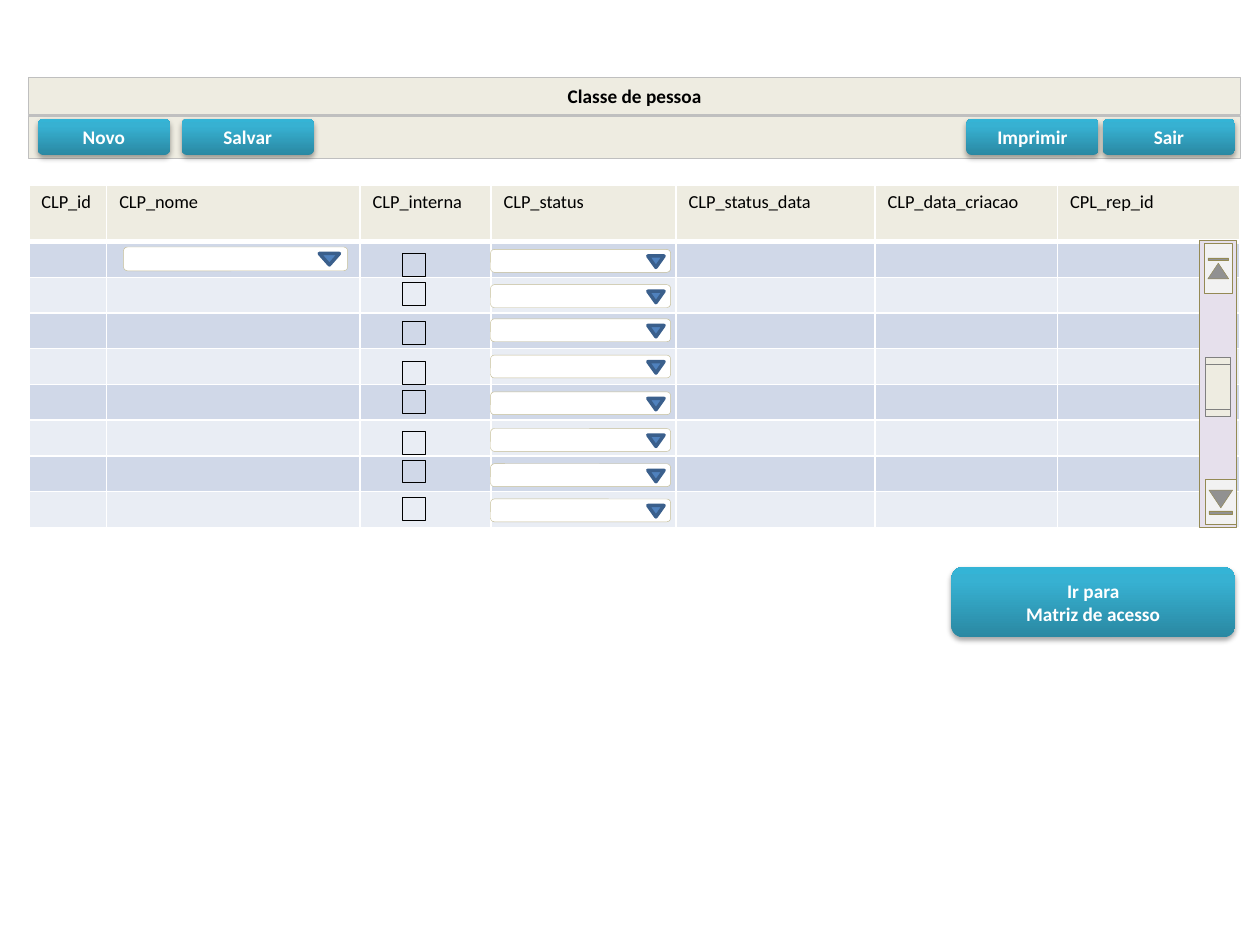
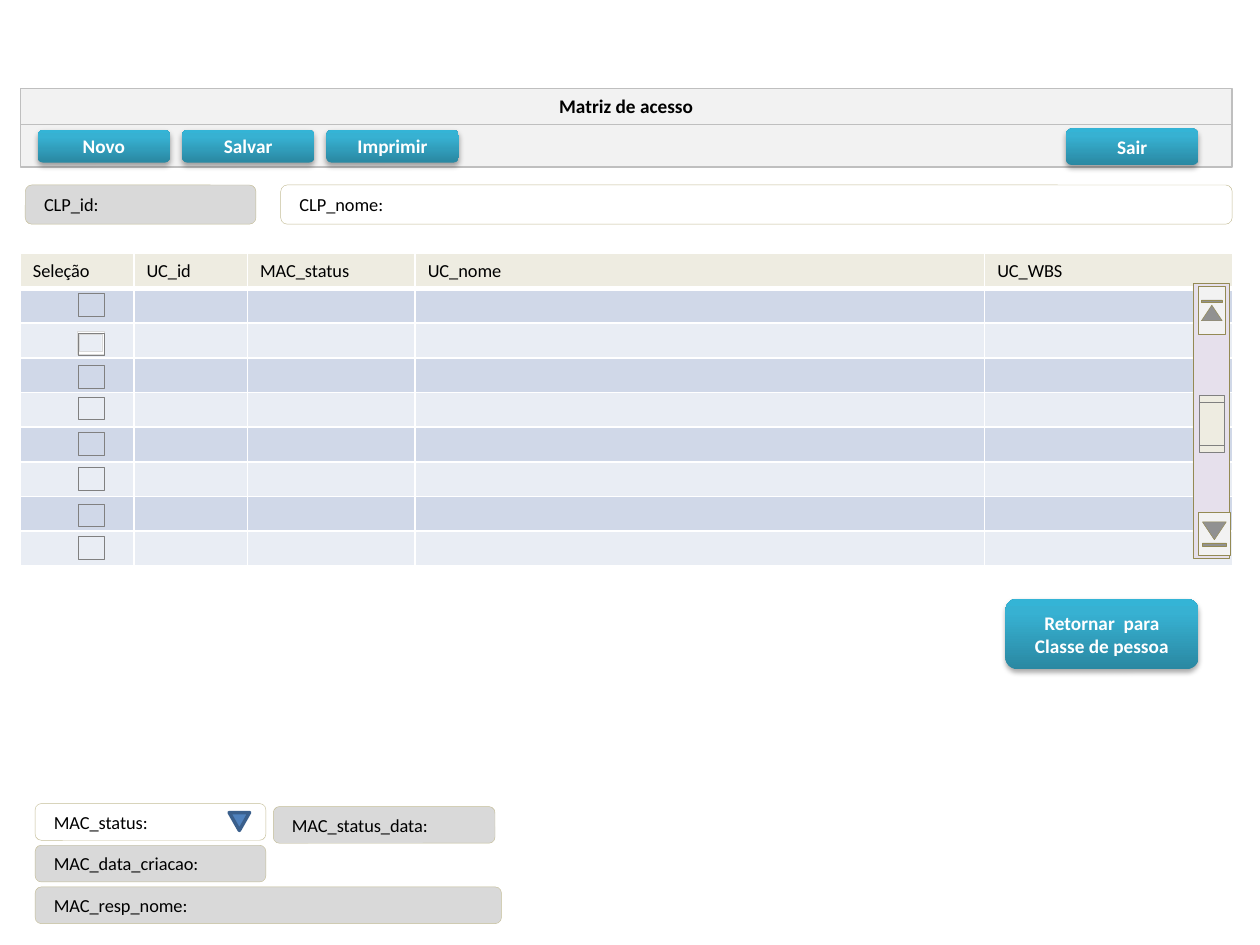
from copy import deepcopy

from pptx import Presentation
from pptx.dml.color import RGBColor
from pptx.enum.shapes import MSO_SHAPE as Preset
from pptx.enum.text import MSO_ANCHOR as Anchor, PP_ALIGN as Align
from pptx.oxml.ns import qn
from pptx.util import Cm, Pt
from lxml.etree import SubElement

FONT = "Calibri"
BLACK, WHITE = "000000", "FFFFFF"
CREAM, LIGHT, SILVER = "EEECE1", "F2F2F2", "D9D9D9"
SAND, OLIVE, GRAY, BAND_EDGE = "C4BD97", "948A54", "808080", "BFBFBF"
ROW_FILLS = ("D0D8E8", "E9EDF4")
ARROW_FILL, ARROW_EDGE, TRACK = "4F81BD", "3A5F8C", "E6E0EC"
BUTTON_STOPS = ((0, "2A88A2"), (0.8, "37B1D2"), (1, "34B4D6"))
TRACK_HEIGHT = 5.79
SCROLL_PARTS = (
    (Preset.ACTION_BUTTON_END, 270, 0.38, 0.56, 1.02, 0.56, LIGHT, OLIVE),
    (Preset.ACTION_BUTTON_END, 90, 0.43, 5.27, 0.91, 0.64, LIGHT, OLIVE),
    (Preset.FLOWCHART_PREDEFINED_PROCESS, 90, 0.37, 2.95, 1.19, 0.51, CREAM, GRAY),
)

PERSON_CLASS = {
    "title": "Classe de pessoa",
    "band": (0.58, CREAM, (1.57, 2.34)),
    "buttons": (
        ("Novo", 0.76, 2.39, 2.67, 0.74),
        ("Salvar", 3.66, 2.39, 2.67, 0.74),
        ("Imprimir", 19.48, 2.39, 2.67, 0.74),
        ("Sair", 22.23, 2.39, 2.67, 0.74),
        ("Ir para\nMatriz de acesso", 19.18, 11.43, 5.72, 1.42),
    ),
    "table": (0.58, 3.73, 1.14, 0.72),
    "columns": (
        ("CLP_id", 1.57), ("CLP_nome", 5.11), ("CLP_interna", 2.64),
        ("CLP_status", 3.73), ("CLP_status_data", 4.01),
        ("CLP_data_criacao", 3.68), ("CPL_rep_id", 3.68),
    ),
    "checks": (8.1, 0.48, BLACK, (5.11, 5.69, 6.48, 7.29, 7.87, 8.69, 9.27, 10.03)),
    "scroll": (24.18, 4.85, 5.79),
}
NAME_CHOICE = (2.49, 4.98, 4.52, 0.48)
STATUS_TOPS = (5.03, 5.74, 6.43, 7.16, 7.9, 8.64, 9.35, 10.06)

ACCESS_MATRIX = {
    "title": "Matriz de acesso",
    "band": (0.41, LIGHT, (1.78, 2.51)),
    "buttons": (
        ("Novo", 0.76, 2.62, 2.67, 0.66),
        ("Salvar", 3.67, 2.62, 2.67, 0.66),
        ("Imprimir", 6.58, 2.62, 2.67, 0.66),
        ("Sair", 21.49, 2.59, 2.67, 0.74),
        ("Retornar  para Classe de pessoa", 20.27, 12.07, 3.89, 1.42),
    ),
    "table": (0.41, 5.11, 0.7, 0.7),
    "columns": (
        ("Seleção", 2.29), ("UC_id", 2.29), ("MAC_status", 3.38),
        ("UC_nome", 11.48), ("UC_WBS", 5.0),
    ),
    "checks": (1.57, 0.53, GRAY, (5.92, 6.71, 7.37, 8.0, 8.71, 9.42, 10.16, 10.82)),
    "scroll": (24.05, 5.72, 5.54),
}
FIELDS = (
    ("CLP_id:", 0.51, 3.73, 4.65, 0.79, SILVER),
    ("CLP_nome:", 5.66, 3.73, 19.18, 0.79, None),
    ("MAC_status:", 0.71, 16.2, 4.65, 0.74, WHITE),
    ("MAC_status_data:", 5.51, 16.26, 4.47, 0.74, SILVER),
    ("MAC_data_criacao:", 0.71, 17.04, 4.65, 0.74, SILVER),
    ("MAC_resp_nome:", 0.71, 17.88, 9.4, 0.74, SILVER),
)


def rgb(code):
    return RGBColor.from_string(code)


def write(frame, text, size=10.5, color=BLACK, bold=False, align=Align.LEFT, anchor=Anchor.TOP):
    frame.word_wrap = True
    frame.vertical_anchor = anchor
    for number, line in enumerate(text.split("\n")):
        paragraph = frame.add_paragraph() if number else frame.paragraphs[0]
        paragraph.alignment = align
        run = paragraph.add_run()
        run.text = line
        run.font.name, run.font.size, run.font.bold = FONT, Pt(size), bold
        run.font.color.rgb = rgb(color)


def draw(shapes, preset, left, top, width, height, fill=None, edge=None, weight=0.25, turn=0):
    shape = shapes.add_shape(preset, Cm(left), Cm(top), Cm(width), Cm(height))
    shape.shadow.inherit = False
    shape.rotation = turn
    if fill:
        shape.fill.solid()
        shape.fill.fore_color.rgb = rgb(fill)
    else:
        shape.fill.background()
    if edge:
        shape.line.color.rgb = rgb(edge)
        shape.line.width = Pt(weight)
    else:
        shape.line.fill.background()
    return shape


def add_button(slide, label, *box):
    button = draw(slide.shapes, Preset.ROUNDED_RECTANGLE, *box)
    button.fill.gradient()
    button.fill.gradient_angle = 90
    properties = button._element.spPr
    stop_list = properties.find(".//" + qn("a:gsLst"))
    stop_list.append(deepcopy(stop_list[-1]))
    for stop, (position, color) in zip(button.fill.gradient_stops, BUTTON_STOPS):
        stop.position = position
        stop.color.rgb = rgb(color)
    shadow = SubElement(
        properties.find(qn("a:effectLst")), qn("a:outerShdw"), blurRad=str(Pt(3.1)),
        dist=str(Pt(1.8)), dir="5400000", rotWithShape="0")
    shade = SubElement(shadow, qn("a:srgbClr"), val=BLACK)
    SubElement(shade, qn("a:alpha"), val="35000")
    write(button.text_frame, label, size=11, color=WHITE, bold=True,
          align=Align.CENTER, anchor=Anchor.MIDDLE)


def add_arrow(shapes, left, top, width, height):
    draw(shapes, Preset.FLOWCHART_EXTRACT, left, top, width, height,
         ARROW_FILL, ARROW_EDGE, weight=2, turn=180)


def add_choice(slide, left, top, width, height):
    shapes = slide.shapes.add_group_shape().shapes
    draw(shapes, Preset.ROUNDED_RECTANGLE, left, top, width, height, WHITE, SAND)
    add_arrow(shapes, left + 0.873 * width, top + 0.13, 0.09 * width, 0.23)


def add_scroll(slide, left, top, height):
    shapes = slide.shapes.add_group_shape().shapes
    draw(shapes, Preset.RECTANGLE, left, top, 0.74, height, TRACK, OLIVE)
    scale = height / TRACK_HEIGHT
    for preset, turn, center_x, center_y, length, depth, fill, edge in SCROLL_PARTS:
        length *= scale
        draw(shapes, preset, left + center_x - length / 2,
             top + center_y * scale - depth / 2, length, depth, fill, edge, turn=turn)


def format_cell(cell, fill, bottom):
    properties = cell._tc.get_or_add_tcPr()
    for side, weight in (("L", 1), ("R", 1), ("T", 1), ("B", bottom)):
        border = SubElement(properties, qn("a:ln" + side), w=str(Pt(weight)))
        SubElement(SubElement(border, qn("a:solidFill")), qn("a:srgbClr"), val=WHITE)
    cell.fill.solid()
    cell.fill.fore_color.rgb = rgb(fill)


def add_grid(slide, columns, left, top, header_height, row_height, count=8):
    width = sum(size for _, size in columns)
    grid = slide.shapes.add_table(
        count + 1, len(columns), Cm(left), Cm(top), Cm(width),
        Cm(header_height + count * row_height)).table
    for row_number, row in enumerate(grid.rows):
        row.height = Cm(row_height if row_number else header_height)
        for (heading, size), column, cell in zip(columns, grid.columns, row.cells):
            column.width = Cm(size)
            if row_number:
                format_cell(cell, ROW_FILLS[(row_number - 1) % 2], 1)
                ending = cell.text_frame.paragraphs[0]._p.get_or_add_endParaRPr()
                ending.set("sz", "1000")
            else:
                format_cell(cell, CREAM, 3)
                write(cell.text_frame, heading)


def add_screen(deck, screen):
    slide = deck.slides.add_slide(deck.slide_layouts[6])
    left, fill, (title_top, bar_top) = screen["band"]
    title = draw(slide.shapes, Preset.RECTANGLE, left, title_top, 24.43, 0.74,
                 fill, BAND_EDGE, 0.75)
    write(title.text_frame, screen["title"], size=11, bold=True, align=Align.CENTER)
    draw(slide.shapes, Preset.RECTANGLE, left, bar_top, 24.43, 0.86, fill, BAND_EDGE, 0.75)
    add_grid(slide, screen["columns"], *screen["table"])
    for button in screen["buttons"]:
        add_button(slide, *button)
    return slide


def add_controls(slide, screen):
    left, width, edge, tops = screen["checks"]
    for top in tops:
        draw(slide.shapes, Preset.RECTANGLE, left, top, width, 0.46, edge=edge)
    add_scroll(slide, *screen["scroll"])


deck = Presentation()
deck.slide_width, deck.slide_height = Cm(25.4), Cm(19.05)

person_class = add_screen(deck, PERSON_CLASS)
add_choice(person_class, *NAME_CHOICE)
for status_top in STATUS_TOPS:
    add_choice(person_class, 9.89, status_top, 3.63, 0.46)
add_controls(person_class, PERSON_CLASS)

access_matrix = add_screen(deck, ACCESS_MATRIX)
for label, *box, fill in FIELDS:
    field = draw(access_matrix.shapes, Preset.ROUNDED_RECTANGLE, *box, fill, SAND)
    field.text_frame.margin_left = Cm(0.34)
    write(field.text_frame, label, anchor=Anchor.MIDDLE)
add_arrow(access_matrix.shapes, 4.62, 16.38, 0.41, 0.36)
draw(access_matrix.shapes, Preset.FRAME, 1.55, 6.68, 0.56, 0.46, WHITE, SILVER)
add_controls(access_matrix, ACCESS_MATRIX)

deck.save("out.pptx")
